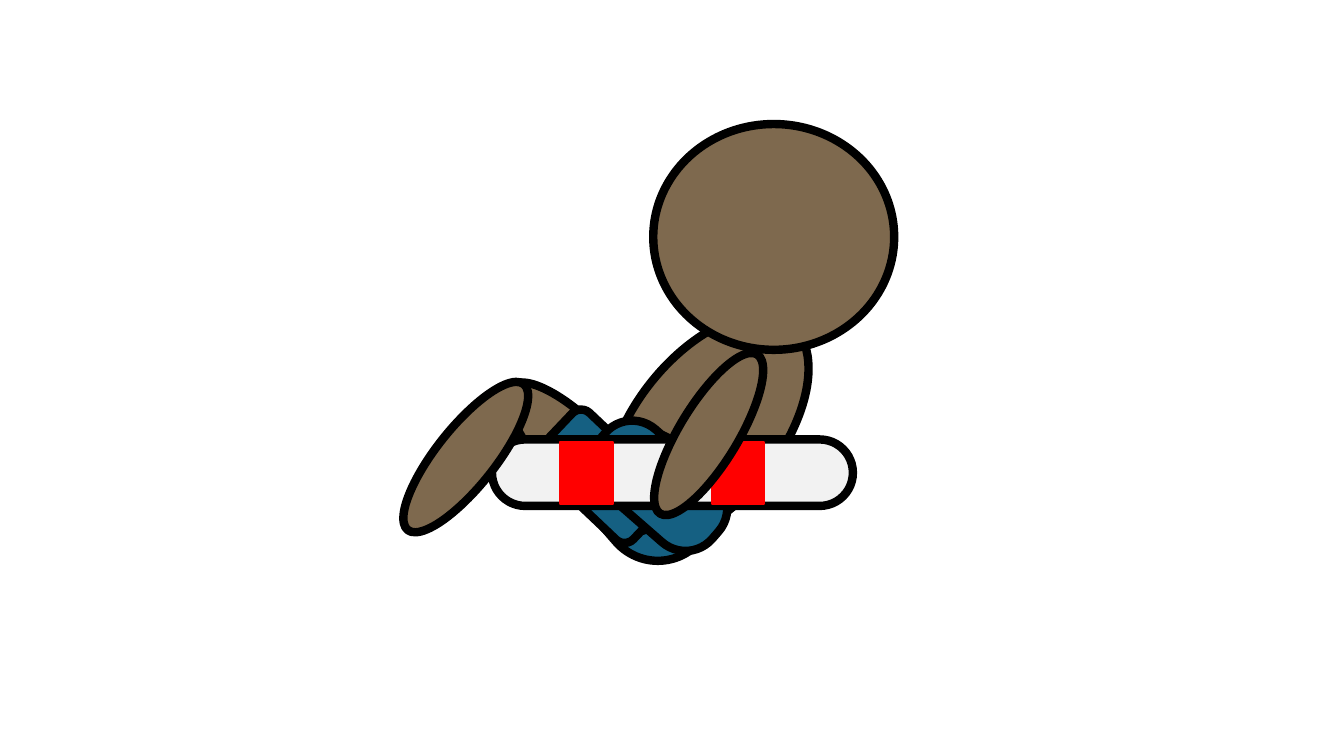
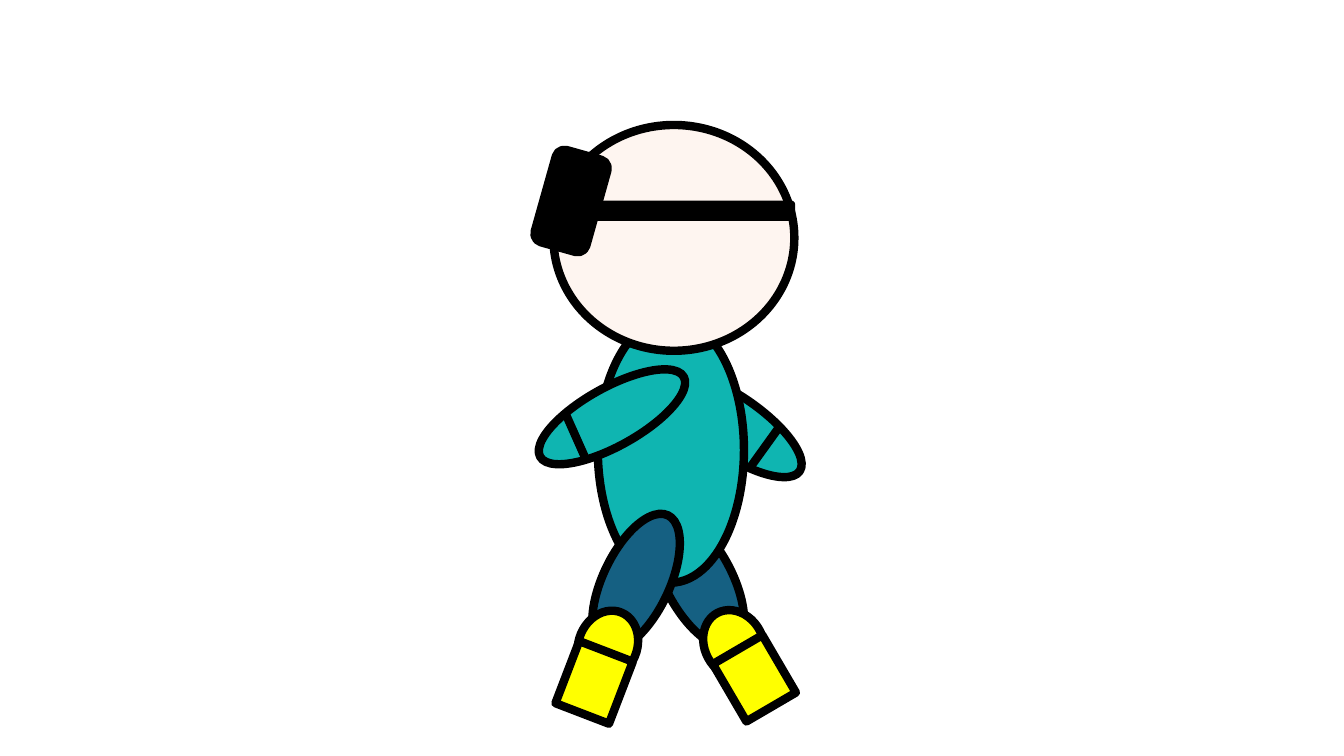
from dataclasses import dataclass

from lxml.etree import SubElement
from pptx import Presentation
from pptx.dml.color import RGBColor
from pptx.enum.shapes import MSO_CONNECTOR, MSO_SHAPE
from pptx.oxml.ns import qn
from pptx.util import Pt


@dataclass(frozen=True)
class Theme:
    ink: str = "000000"
    brown_skin: str = "7E694E"
    pale_skin: str = "FEF5F0"
    trousers: str = "156082"
    top: str = "0FB5B1"
    boots: str = "FFFF00"
    ring: str = "F2F2F2"
    stripe: str = "FF0000"
    outline: float = 6
    thin: float = 1.5


T = Theme()
OVAL, RECT, ROUND = MSO_SHAPE.OVAL, MSO_SHAPE.RECTANGLE, MSO_SHAPE.ROUNDED_RECTANGLE

# Body part sizes shared by the figures: width, height
TORSO = (104.4, 189.4)
HEAD = (172.1, 161.3)
LONG_LIMB = (41.8, 133.2)
ARM = (41.8, 117.4)
LEG = (47.5, 105.8)
BOOT_TOP = (41.8, 50.4)
BOOT_SHAFT = (41, 47.5)
STRIPE = (37.4, 44.6)


def part(shapes, kind, left, top, size, fill, rot=0, adj=None, line=T.ink, weight=T.outline):
    """Add one outlined body part or prop; position and size in points."""
    sp = shapes.add_shape(kind, Pt(left), Pt(top), Pt(size[0]), Pt(size[1]))
    sp.shadow.inherit = False
    sp.rotation = rot
    if adj is not None:
        sp.adjustments[0] = adj
    sp.fill.solid()
    sp.fill.fore_color.rgb = RGBColor.from_string(fill)
    sp.line.color.rgb = RGBColor.from_string(line)
    sp.line.width = Pt(weight)


prs = Presentation()
prs.slide_width, prs.slide_height = Pt(960), Pt(540)
blank = prs.slide_layouts[6]

# Slide 1: swimmer sitting in a life ring
s = prs.slides.add_slide(blank)
shapes = s.shapes
part(shapes, OVAL, 453.6, 211, TORSO, T.brown_skin, 38.5)
part(shapes, ROUND, 415.4, 314.6, (97.2, 79.2), T.trousers, 49, 0.5)
far_leg = shapes.add_group_shape().shapes
part(far_leg, OVAL, 390.2, 256.3, (47.5, 140.4), T.brown_skin, 136.2)
part(far_leg, ROUND, 383.8, 313.9, (93.6, 52.6), T.trousers, 43.5)
part(shapes, ROUND, 416.9, 318.2, (107.3, 57.6), T.trousers, 41.1, 0.44)
part(shapes, ROUND, 351.4, 313.9, (257.8, 47.5), T.ring, adj=0.5)
part(shapes, OVAL, 311.8, 259.9, LONG_LIMB, T.brown_skin, 38.5)
part(shapes, OVAL, 466.6, 88.6, HEAD, T.brown_skin)
for left in (400.3, 508.3):
    part(shapes, RECT, left, 315.4, STRIPE, T.stripe, line=T.stripe, weight=T.thin)
part(shapes, OVAL, 485.3, 243.4, LONG_LIMB, T.brown_skin, 31.3)

# Slide 2: walker wearing a headset
s = prs.slides.add_slide(blank)
shapes = s.shapes
part(shapes, OVAL, 501.8, 244.8, ARM, T.top, 304.3)
part(shapes, OVAL, 475.2, 361.4, LEG, T.trousers, 151.9)
part(shapes, OVAL, 427, 226.8, TORSO, T.top)
part(shapes, OVAL, 395.3, 89.3, HEAD, T.pale_skin)
part(shapes, OVAL, 430.6, 362.9, LEG, T.trousers, 205.5)
part(shapes, OVAL, 416.2, 239, ARM, T.top, 60.9)

boots = [  # top left and top, shaft left and top, rotation of the top
    (413.3, 435.6, 403.9, 463.7, 23),
    (503.3, 434.9, 518.4, 460.8, 331.7),
]
for top_x, top_y, shaft_x, shaft_y, rot in boots:
    boot = shapes.add_group_shape().shapes
    part(boot, OVAL, top_x, top_y, BOOT_TOP, T.boots, rot)
    part(boot, RECT, shaft_x, shaft_y, BOOT_SHAFT, T.boots, rot - 2)

part(shapes, ROUND, 388.8, 109.4, (38.2, 68.4), T.ink, 15.7)
part(shapes, ROUND, 418.3, 144, (149, 13), T.ink, weight=T.thin)

cuffs = [(403.2, 293.8, 418.3, 327.6), (558, 303.1, 535.7, 334.1)]
for ends in cuffs:
    cuff = shapes.add_connector(MSO_CONNECTOR.STRAIGHT, *map(Pt, ends))
    cuff.line.color.rgb = RGBColor.from_string(T.ink)
    cuff.line.width = Pt(T.outline)
    SubElement(cuff._element.spPr, qn("a:effectLst"))

prs.save("out.pptx")
